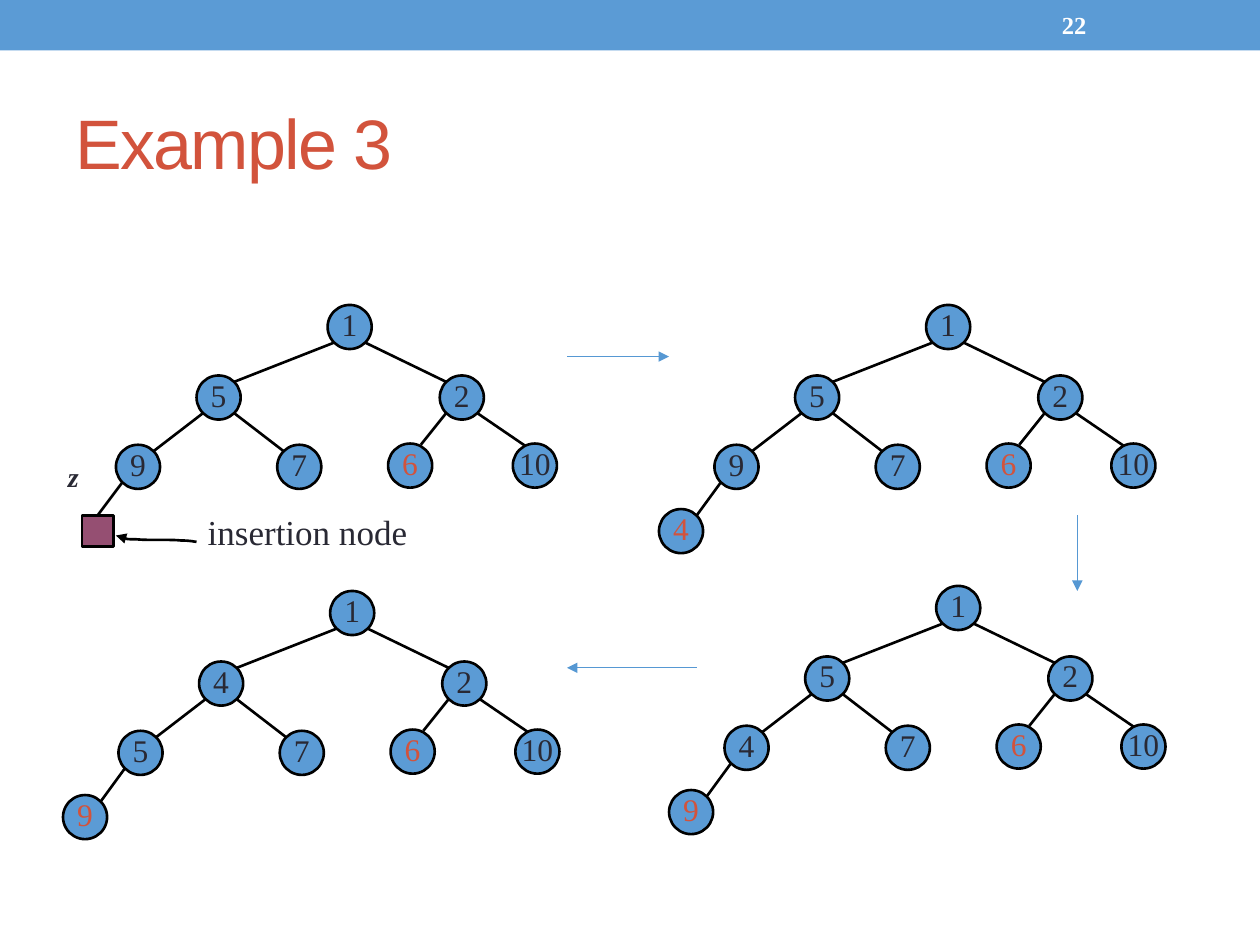
from itertools import chain

from lxml.etree import SubElement
from pptx import Presentation
from pptx.dml.color import RGBColor
from pptx.enum.shapes import MSO_CONNECTOR as CONN, MSO_SHAPE as SHAPE
from pptx.enum.text import MSO_ANCHOR as ANCHOR, PP_ALIGN as ALIGN
from pptx.oxml.ns import qn
from pptx.util import Inches, Pt

THEME = {
    "blue": "5B9BD5", "arrow": "5698D3", "red": "D2533C", "ink": "292934",
    "plum": "954F72", "black": "000000", "white": "FFFFFF",
    "sans": "Arial", "serif": "Times New Roman",
    "title": 40, "label": 20, "node": 18, "small": 16, "number": 14,
    "outline": 1.5, "thin": 0.75,
}

# Root position (left, top) and the keys in level order; None marks the empty insertion node
TREES = [
    (2.60, 2.42, [1, 5, 2, 9, 7, 6, 10, None]),
    (7.35, 2.42, [1, 5, 2, 9, 7, 6, 10, 4]),
    (7.43, 4.65, [1, 5, 2, 4, 7, 6, 10, 9]),
    (2.62, 4.69, [1, 4, 2, 5, 7, 6, 10, 9]),
]
# Node offsets from the root, in level order
OFFSETS = [(0, 0), (-1.04, 0.56), (0.89, 0.56), (-1.68, 1.11), (-0.4, 1.11),
           (0.48, 1.1), (1.47, 1.1), (-2.12, 1.62)]
RED_NODES = {5, 7}
# Where an edge meets its child, when not at the corner of the circle
ENTRIES = {5: (0.26, 0.01), 6: (0.13, 0.04)}
STEPS = [(4.5, 2.83, 5.31, 2.83), (8.55, 4.09, 8.55, 4.69), (5.53, 5.3, 4.5, 5.3)]
POINTER = [(1.56, 4.3), (1.54, 4.3), (1.52, 4.29), (1.44, 4.29), (1.36, 4.28),
           (1.17, 4.29), (1.08, 4.28), (0.99, 4.28), (0.95, 4.26), (0.92, 4.25)]
DIAMETER, INSET = 0.35, 0.05
SQUARE = (0.65, 4.09, 0.25, 0.25)


def color(name):
    return RGBColor.from_string(THEME[name])


def style_text(tf, text, size, fill="ink", font="serif", bold=False, italic=False):
    tf.text = text
    r = tf.paragraphs[0].runs[0]
    r.font.name, r.font.size = THEME[font], Pt(THEME[size])
    r.font.color.rgb = color(fill)
    r.font.bold, r.font.italic = bold, italic
    return r


def add_text(slide, box, text, size, **style):
    tf = slide.shapes.add_textbox(*map(Inches, box)).text_frame
    style_text(tf, text, size, **style)
    return tf


def add_filled(slide, kind, box, fill, outline=True):
    s = slide.shapes.add_shape(kind, *map(Inches, box))
    s.shadow.inherit = False
    s.fill.solid()
    s.fill.fore_color.rgb = color(fill)
    if outline:
        s.line.color.rgb, s.line.width = color("black"), Pt(THEME["outline"])
    else:
        s.line.fill.background()
    return s


def add_arrowhead(s):
    SubElement(s.line._get_or_add_ln(), qn("a:tailEnd"), type="triangle")


def add_line(slide, ends, stroke="black", width="outline"):
    c = slide.shapes.add_connector(CONN.STRAIGHT, *map(Inches, ends))
    c.line.color.rgb, c.line.width = color(stroke), Pt(THEME[width])
    SubElement(c._element.spPr, qn("a:effectLst"))
    return c


def add_curve(slide, points):
    """Draw a start point followed by cubic Bézier triples, ending in an arrowhead."""
    start, *rest = [tuple(map(Inches, pt)) for pt in points]
    builder = slide.shapes.build_freeform(*start)
    builder.add_line_segments(rest, close=False)
    s = builder.convert_to_shape()
    s.shadow.inherit = False
    s.fill.background()
    s.line.color.rgb, s.line.width = color("black"), Pt(THEME["outline"])
    add_arrowhead(s)
    segments = list(s._element.iter(qn("a:lnTo")))
    outline = segments[0].getparent()
    for i in range(0, len(segments), 3):
        bezier = SubElement(outline, qn("a:cubicBezTo"))
        for segment in segments[i:i + 3]:
            bezier.append(segment[0])
            outline.remove(segment)


def add_node(slide, x, y, key, fill):
    s = add_filled(slide, SHAPE.OVAL, (x, y, DIAMETER, DIAMETER), "blue")
    tf = s.text_frame
    tf.margin_left = tf.margin_right = tf.margin_top = 0
    tf.margin_bottom = Inches(0.05)
    tf.word_wrap, tf.vertical_anchor = False, ANCHOR.MIDDLE
    style_text(tf, str(key), "node", fill)
    tf.paragraphs[0].alignment = ALIGN.CENTER


def add_tree(slide, left, top, keys):
    spots = [(left + dx, top + dy) for dx, dy in OFFSETS]
    far = DIAMETER - INSET
    for i, (x, y) in enumerate(spots[1:], 1):
        px, py = spots[(i - 1) // 2]
        is_left = i % 2 == 1
        if keys[i] is None:
            end = (SQUARE[0] + SQUARE[2] / 2, SQUARE[1])
        else:
            dx, dy = ENTRIES.get(i, (far if is_left else INSET, INSET))
            end = (x + dx, y + dy)
        add_line(slide, (px + (INSET if is_left else far), py + far, *end))
    for i, (key, spot) in enumerate(zip(keys, spots)):
        if key is not None:
            add_node(slide, *spot, key, "red" if i in RED_NODES else "ink")


def main():
    prs = Presentation()
    prs.slide_width, prs.slide_height = Inches(10), Inches(7.5)
    slide = prs.slides.add_slide(prs.slide_layouts[5])

    add_filled(slide, SHAPE.RECTANGLE, (0, 0, 10, 0.4), "blue", outline=False)
    title = slide.shapes.title
    title.left, title.top, title.width, title.height = map(Inches, (0.5, 0.58, 9, 1.08))
    r = style_text(title.text_frame, "Example 3", "title", "red", "sans")
    r._r.get_or_add_rPr().set("spc", "-100")
    title.text_frame.vertical_anchor = ANCHOR.MIDDLE
    title.text_frame.paragraphs[0].alignment = ALIGN.LEFT
    number = add_text(slide, (8.33, 0.02, 1.17, 0.36), "22", "number",
                      fill="white", bold=True)
    number.word_wrap, number.vertical_anchor = True, ANCHOR.MIDDLE

    for tree in TREES:
        add_tree(slide, *tree)

    add_filled(slide, SHAPE.RECTANGLE, SQUARE, "plum")
    add_curve(slide, POINTER)
    add_text(slide, (1.55, 4, 1.79, 0.43), "insertion node", "label")
    add_text(slide, (0.44, 3.6, 0.28, 0.36), "z", "small", bold=True, italic=True)

    for ends in STEPS:
        add_arrowhead(add_line(slide, ends, "arrow", "thin"))

    prs.save("out.pptx")


if __name__ == "__main__":
    main()
